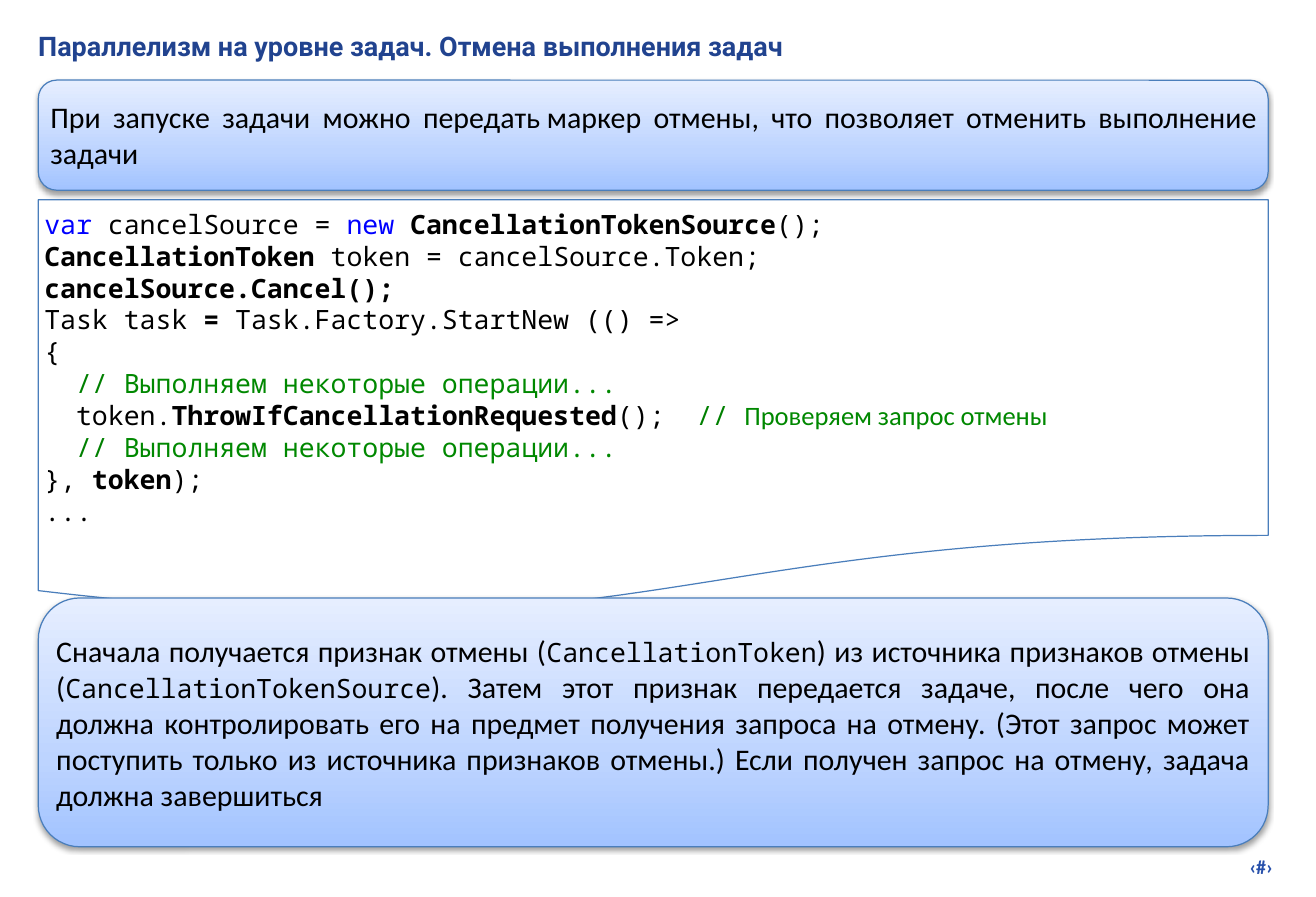
"""Builds a slide about cancelling tasks: two notes around a code listing."""
from copy import deepcopy
from typing import NamedTuple

from lxml.etree import SubElement
from pptx import Presentation
from pptx.dml.color import RGBColor
from pptx.enum.shapes import MSO_SHAPE
from pptx.enum.text import MSO_ANCHOR, PP_ALIGN
from pptx.oxml.ns import qn
from pptx.util import Inches, Pt

COLUMNS, ROWS = 110, 75
BODY, MONO, HEADING = "Calibri", "Noto Sans Mono", "Roboto"
BLACK, KEYWORD, COMMENT, REMARK = "000000", "0000FF", "008000", "008800"
BORDER = "4A7EBB"
GRADIENT = [(0, "A2C3FF"), (0.35, "BDD4FF"), (1, "E6EEFF")]


class Area(NamedTuple):
    """A place on the grid, in columns and rows."""
    column: float
    row: float
    columns: float
    rows: float


class Style(NamedTuple):
    """The look of a stretch of text."""
    font: str
    size: float
    color: str = BLACK
    bold: bool = False


class Span(NamedTuple):
    """Words with the style that differs from their paragraph."""
    words: str
    style: Style


class Note(NamedTuple):
    """A shaded panel and the text over it."""
    panel: Area
    text: Area
    spans: list


PROSE = Style(BODY, 18)
CODE = Style(MONO, 16)
STRONG = CODE._replace(bold=True)
WORD = CODE._replace(color=KEYWORD)
SLASHES = CODE._replace(color=COMMENT)
REMARKS = CODE._replace(color=REMARK)

OPERATIONS = [Span("  ", CODE), Span("// ", SLASHES),
              Span("Выполняем некоторые операции...", REMARKS)]
LISTING = [
    [Span("var", WORD), Span(" cancelSource = ", CODE), Span("new ", WORD),
     Span("CancellationTokenSource", STRONG), Span("();", CODE)],
    [Span("CancellationToken", STRONG), Span(" token = cancelSource.Token;", CODE)],
    [Span("cancelSource.Cancel();", STRONG)],
    [Span("Task task ", CODE), Span("=", STRONG), Span(" Task.Factory.StartNew (() =>", CODE)],
    [Span("{", CODE)],
    OPERATIONS,
    [Span("  token.", CODE), Span("ThrowIfCancellationRequested", STRONG), Span("();  ", CODE),
     Span("// ", SLASHES), Span("Проверяем запрос отмены", REMARKS._replace(font=BODY))],
    OPERATIONS,
    [Span("}, ", CODE), Span("token", STRONG), Span(");", CODE)],
    [Span("...", CODE)],
]
NOTES = [
    Note(Area(3.2, 6.7, 102.8, 9.2), Area(3.7, 7.7, 101.9, 7.1), [
        Span("При запуске задачи можно передать\u00a0маркер отмены, что позволяет "
             "отменить выполнение задачи", PROSE)]),
    Note(Area(3.2, 50, 102.8, 20.8), Area(4.2, 51.9, 100.8, 17), [
        Span("Сначала получается признак отмены (", PROSE),
        Span("CancellationToken", CODE),
        Span(") из источника признаков отмены (", PROSE),
        Span("CancellationTokenSource", CODE),
        Span("). Затем этот признак передается задаче, после чего она должна контролировать "
             "его на предмет получения запроса на отмену. (Этот запрос может поступить только "
             "из источника признаков отмены.) Если получен запрос на отмену, задача должна "
             "завершиться", PROSE)]),
]


def rgb(value: str) -> RGBColor:
    """Turn a hex string into a colour."""
    return RGBColor.from_string(value)


def place(area: Area) -> list:
    """Turn grid columns and rows into slide lengths."""
    across, down = Inches(11) / COLUMNS, Inches(7.5) / ROWS
    return [round(area.column * across), round(area.row * down),
            round(area.columns * across), round(area.rows * down)]


def apply_style(font, style: Style) -> None:
    """Set a font from a style."""
    font.name, font.size, font.bold = style.font, Pt(style.size), style.bold
    font.color.rgb = rgb(style.color)


def add_text(slide, area: Area, paragraphs: list, align=PP_ALIGN.LEFT,
             anchor=MSO_ANCHOR.MIDDLE) -> None:
    """Write paragraphs of spans into a text box."""
    frame = slide.shapes.add_textbox(*place(area)).text_frame
    frame.word_wrap, frame.vertical_anchor = True, anchor
    frame.margin_left = frame.margin_right = Inches(0.05)
    frame.margin_top = frame.margin_bottom = Inches(0.05)
    for index, spans in enumerate(paragraphs):
        paragraph = frame.add_paragraph() if index else frame.paragraphs[0]
        paragraph.alignment = align
        uniform = len({span.style for span in spans}) == 1
        if uniform:
            apply_style(paragraph.font, spans[0].style)
        for span in spans:
            run = paragraph.add_run()
            run.text = span.words
            if not uniform:
                apply_style(run.font, span.style)


def add_panel(slide, kind: MSO_SHAPE, area: Area):
    """Draw a bordered panel without a shadow."""
    panel = slide.shapes.add_shape(kind, *place(area))
    panel.shadow.inherit = False
    panel.line.color.rgb, panel.line.width = rgb(BORDER), Pt(0.75)
    return panel


def shade(panel) -> None:
    """Give a panel the three-stop gradient and a soft shadow."""
    panel.fill.gradient()
    panel.fill.gradient_angle = 90
    stops = panel._element.spPr.find(qn("a:gradFill")).find(qn("a:gsLst"))
    stops.insert(1, deepcopy(stops[0]))
    for stop, (position, color) in zip(panel.fill.gradient_stops, GRADIENT):
        stop.position, stop.color.rgb = position, rgb(color)
    effects = panel._element.spPr.find(qn("a:effectLst"))
    shadow = SubElement(effects, qn("a:outerShdw"), blurRad=str(Pt(3)), dist=str(Pt(1.6)),
                        dir="5400000", rotWithShape="0")
    tint = SubElement(shadow, qn("a:srgbClr"), val=BLACK)
    SubElement(tint, qn("a:alpha"), val="38000")


def add_note(slide, note: Note) -> None:
    """Draw a shaded panel with justified text."""
    shade(add_panel(slide, MSO_SHAPE.ROUNDED_RECTANGLE, note.panel))
    add_text(slide, note.text, [note.spans], PP_ALIGN.JUSTIFY)


def add_listing(slide) -> None:
    """Draw the code on a document with a wavy lower edge."""
    document = add_panel(slide, MSO_SHAPE.FLOWCHART_DOCUMENT, Area(3.2, 16.7, 102.8, 35))
    document.fill.solid()
    document.fill.fore_color.rgb = rgb("FFFFFF")
    add_text(slide, Area(3.2, 17, 102.8, 27.4), LISTING)


def main() -> None:
    """Build and save the slide."""
    deck = Presentation()
    deck.slide_width, deck.slide_height = Inches(11), Inches(7.5)
    slide = deck.slides.add_slide(deck.slide_layouts[6])
    introduction, explanation = NOTES
    add_text(slide, Area(83.6, 71, 23.3, 2.9),
             [[Span("‹#›", Style(BODY, 12, "2750AB", True))]], PP_ALIGN.RIGHT, MSO_ANCHOR.TOP)
    add_text(slide, Area(2.7, 2, 105, 4),
             [[Span("Параллелизм на уровне задач. Отмена выполнения задач",
                    Style(HEADING, 16.2, "21438F", True))]], anchor=MSO_ANCHOR.TOP)
    add_note(slide, introduction)
    add_listing(slide)
    add_note(slide, explanation)
    deck.save("out.pptx")


if __name__ == "__main__":
    main()
